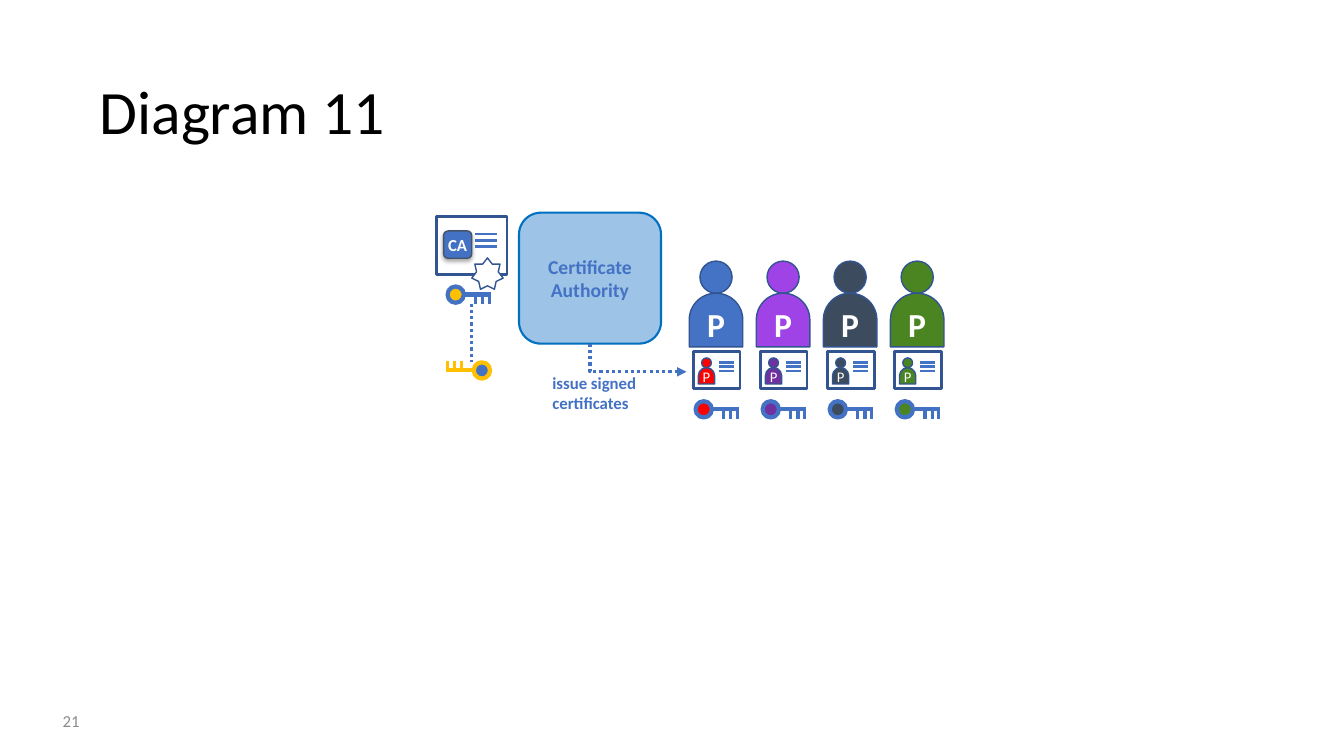
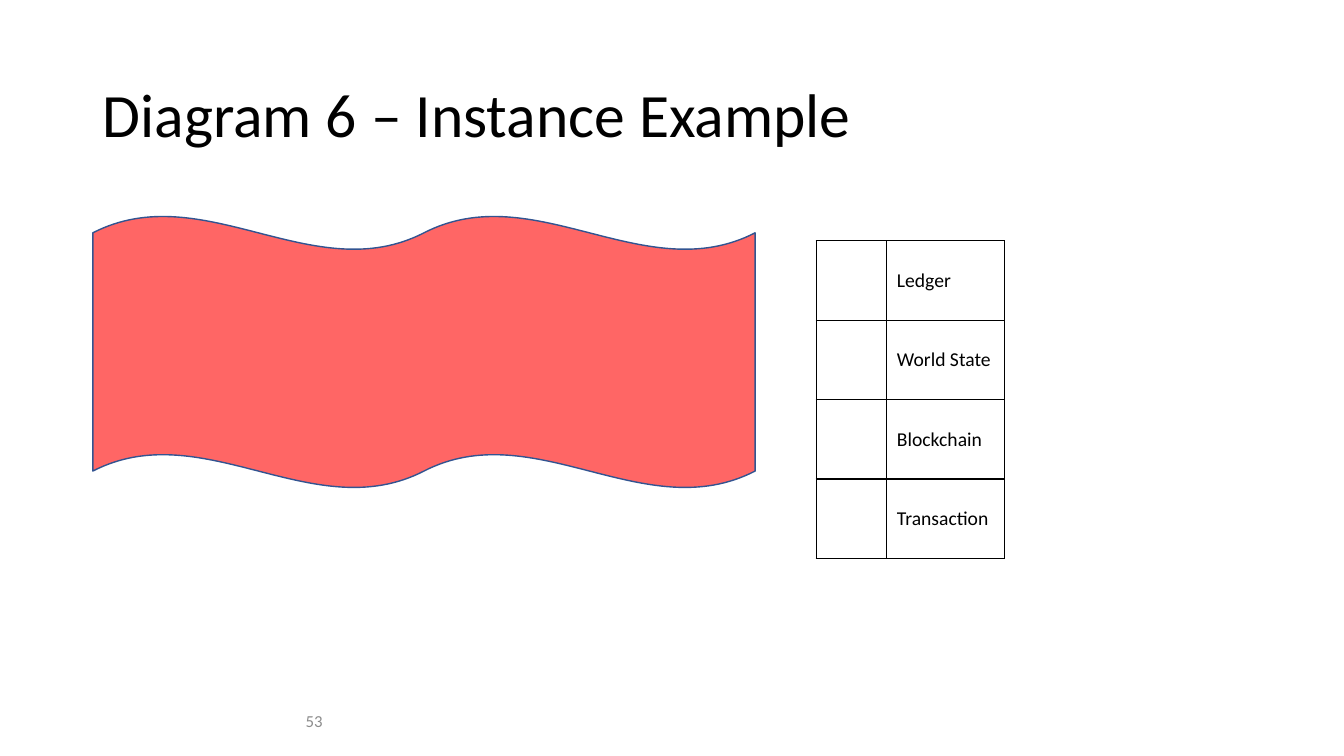
from lxml import etree
from pptx import Presentation
from pptx.dml.color import RGBColor
from pptx.enum.dml import MSO_LINE
from pptx.enum.shapes import MSO_CONNECTOR, MSO_SHAPE
from pptx.enum.text import MSO_ANCHOR, PP_ALIGN
from pptx.oxml.ns import qn
from pptx.util import Cm, Pt

STRAIGHT, ELBOW = MSO_CONNECTOR.STRAIGHT, MSO_CONNECTOR.ELBOW
RECTANGLE, ROUNDED = MSO_SHAPE.RECTANGLE, MSO_SHAPE.ROUNDED_RECTANGLE
OVAL, STAR, WAVE = MSO_SHAPE.OVAL, MSO_SHAPE.STAR_7_POINT, MSO_SHAPE.DOUBLE_WAVE
TORSO = MSO_SHAPE.ROUND_2_SAME_RECTANGLE
LEFT, CENTER, RIGHT = PP_ALIGN.LEFT, PP_ALIGN.CENTER, PP_ALIGN.RIGHT
TOP, MIDDLE = MSO_ANCHOR.TOP, MSO_ANCHOR.MIDDLE
DOTTED = MSO_LINE.ROUND_DOT
BOTTOM_SITE = 2

COLORS = {
    "black": "000000", "white": "FFFFFF", "gray": "8C8C8C", "outline": "325491",
    "blue": "4472C4", "key": "4372C4", "gold": "FFC001", "badge_line": "44546A",
    "authority": "9DC3E6", "authority_line": "0070C0", "red": "FF0000",
    "violet": "9F42E6", "purple": "7030A0", "slate": "3D4B5F", "green": "4A8522",
    "wave": "FF6665",
}

TITLE = {"size": Pt(44)}
NUMBER = {"size": Pt(12)}
AUTHORITY = {"size": Pt(14), "bold": True}
LABEL = {"size": Pt(12), "bold": True}
PERSON = {"size": Pt(24), "bold": True}
SMALL_PERSON = {"size": Pt(10.5)}
CELL = {"size": Pt(14)}

PARTICIPANTS = [("blue", "red"), ("violet", "purple"),
                ("slate", "slate"), ("green", "green")]
PARTICIPANT_PITCH = 1.69
LEGEND = ["Ledger", "World State", "Blockchain", "Transaction"]


def color(name):
    """Return the named colour."""
    return RGBColor.from_string(COLORS[name])


def lengths(*values):
    """Convert centimetre values to lengths."""
    return [Cm(value) for value in values]


def write_text(frame, text, format_values, color_name, align=LEFT):
    """Write one formatted paragraph and return it."""
    paragraph = frame.paragraphs[0]
    paragraph.text = text
    paragraph.alignment = align
    for name, value in {"name": "Calibri", **format_values}.items():
        setattr(paragraph.font, name, value)
    paragraph.font.color.rgb = color(color_name)
    return paragraph


def add_text(slide, box, text, format_values, color_name, align=LEFT, anchor=MIDDLE):
    """Add a wrapping text box and return its paragraph."""
    frame = slide.shapes.add_textbox(*lengths(*box)).text_frame
    frame.word_wrap = True
    frame.vertical_anchor = anchor
    return write_text(frame, text, format_values, color_name, align)


def add_figure(shapes, kind, box, fill, line="outline", width=1):
    """Add a preset shape without theme effects."""
    shape = shapes.add_shape(kind, *lengths(*box))
    shape.shadow.inherit = False
    if fill:
        shape.fill.solid()
        shape.fill.fore_color.rgb = color(fill)
    else:
        shape.fill.background()
    shape.line.color.rgb = color(line)
    shape.line.width = Pt(width)
    return shape


def write_mark(shape, text, format_values):
    """Centre a short white mark in a small shape."""
    frame = shape.text_frame
    frame.word_wrap = False
    frame.vertical_anchor = MIDDLE
    for side in ("left", "top", "right", "bottom"):
        setattr(frame, f"margin_{side}", 0)
    write_text(frame, text, format_values, "white", CENTER)


def add_line(shapes, start, end, line, width, kind=STRAIGHT, dash=None):
    """Add a connector without a shadow."""
    connector = shapes.add_connector(kind, *lengths(*start, *end))
    connector.line.color.rgb = color(line)
    connector.line.width = Pt(width)
    if dash:
        connector.line.dash_style = dash
    etree.SubElement(connector._element.spPr, qn("a:effectLst"))
    return connector


def draw_key(slide, center, bow, line, direction=1):
    """Draw a key around its bow; direction -1 turns it half round."""
    shapes = slide.shapes.add_group_shape().shapes
    x, y = center
    add_figure(shapes, OVAL, (x - 0.2, y - 0.2, 0.41, 0.41), bow, line, 3)
    add_line(shapes, (x + direction * 0.2, y), (x + direction * 0.9, y), line, 3)
    for offset in (0.51, 0.69, 0.86):
        tooth = x + direction * offset
        add_line(shapes, (tooth, y - direction * 0.03),
                 (tooth, y + direction * 0.24), line, 2.25)


def draw_person(shapes, left, top, size, fill, format_values):
    """Draw a head and a torso of the given size marked P."""
    head = size * 0.6
    add_figure(shapes, OVAL, (left + size * 0.2, top, head, head), fill)
    torso = add_figure(shapes, TORSO, (left, top + head, size, size), fill)
    torso.adjustments[0] = 0.497
    write_mark(torso, "P", format_values)


def draw_card(slide, box, fill):
    """Draw a certificate with its text lines and return its group shapes."""
    shapes = slide.shapes.add_group_shape().shapes
    left, top, width, height = box
    add_figure(shapes, RECTANGLE, box, fill, width=2)
    for row in range(3):
        y = top + height * (0.3 + 0.11 * row)
        add_line(shapes, (left + width * 0.55, y), (left + width * 0.86, y), "blue", 2)
    return shapes


def add_shadow(shape):
    """Give a shape a soft shadow below."""
    effects = shape._element.spPr.find(qn("a:effectLst"))
    shadow = etree.SubElement(effects, qn("a:outerShdw"), blurRad=str(Pt(3.1)),
                              dist=str(Pt(1.8)), dir="5400000", rotWithShape="0")
    tint = etree.SubElement(shadow, qn("a:srgbClr"), val=COLORS["black"])
    etree.SubElement(tint, qn("a:alpha"), val="35000")


def draw_authority_card(slide, box):
    """Draw the authority's certificate with badge, seal and key pair."""
    left, top = box[:2]
    shapes = draw_card(slide, box, None)
    badge = add_figure(shapes, ROUNDED, (left + 0.18, top + 0.36, 0.71, 0.69),
                       "key", "badge_line")
    add_shadow(badge)
    write_mark(badge, "CA", LABEL)
    add_figure(shapes, STAR, (left + 0.89, top + 1.04, 0.79, 0.79), "white")
    draw_key(slide, (left + 0.48, top + 1.96), "gold", "key")
    draw_key(slide, (left + 1.14, top + 3.87), "key", "gold", -1)
    add_line(slide.shapes, (left + 0.89, top + 2.19), (left + 0.89, top + 3.66),
             "key", 2.25, dash=DOTTED)


def draw_participant(slide, left, top, person_color, card_color):
    """Draw a person above a certificate and a key."""
    person = slide.shapes.add_group_shape().shapes
    draw_person(person, left, top, 1.35, person_color, PERSON)
    card = draw_card(slide, (left + 0.11, top + 2.28, 1.17, 0.94), "white")
    draw_person(card, left + 0.23, top + 2.44, 0.41, card_color, SMALL_PERSON)
    draw_key(slide, (left + 0.36, top + 3.73), card_color, "key")


def draw_issue_arrow(slide, authority, start, end):
    """Draw the dotted arrow that runs down and then right."""
    arrow = add_line(slide.shapes, start, end, "key", 2.25, ELBOW, DOTTED)
    arrow.begin_connect(authority, BOTTOM_SITE)
    across, down = end[0] - start[0], end[1] - start[1]
    arrow.left = Cm(start[0] + (across - down) / 2)
    arrow.top = Cm(start[1] + (down - across) / 2)
    arrow.width, arrow.height = Cm(down), Cm(across)
    properties = arrow._element.spPr
    frame = properties.find(qn("a:xfrm"))
    frame.set("rot", "16200000")
    frame.set("flipH", "1")
    properties.find(qn("a:prstGeom")).set("prst", "bentConnector2")
    etree.SubElement(properties.find(qn("a:ln")), qn("a:tailEnd"), type="triangle")


def draw_authority(slide, box):
    """Draw the authority box, its label and the issuing arrow."""
    left, top, width, height = box
    authority = add_figure(slide.shapes, ROUNDED, box, "authority", "authority_line", 1.5)
    authority.text_frame.word_wrap = True
    authority.text_frame.vertical_anchor = MIDDLE
    write_text(authority.text_frame, "Certificate Authority", AUTHORITY, "blue", CENTER)
    bottom = top + height
    add_text(slide, (left + 0.59, bottom + 0.61, 3.07, 1.27),
             "issue signed certificates", LABEL, "key", anchor=TOP)
    draw_issue_arrow(slide, authority, (left + width / 2, bottom),
                     (left + 4.22, bottom + 0.71))


def draw_border(cell):
    """Outline a cell with thin black lines."""
    properties = cell._tc.get_or_add_tcPr()
    for position, side in enumerate(("lnL", "lnR", "lnT", "lnB")):
        line = etree.Element(qn(f"a:{side}"), w=str(Pt(1)))
        fill = etree.SubElement(line, qn("a:solidFill"))
        etree.SubElement(fill, qn("a:srgbClr"), val=COLORS["black"])
        properties.insert(position, line)


def draw_legend(slide, left, top):
    """Draw the legend table with an empty symbol column."""
    widths, row_height = (1.78, 2.97), 2
    box = lengths(left, top, sum(widths), row_height * len(LEGEND))
    table = slide.shapes.add_table(len(LEGEND), len(widths), *box).table
    table.first_row = table.horz_banding = False
    for column, width in zip(table.columns, widths):
        column.width = Cm(width)
    for row, name in zip(table.rows, LEGEND):
        row.height = Cm(row_height)
        for cell in row.cells:
            cell.fill.background()
            cell.vertical_anchor = MIDDLE
            draw_border(cell)
        write_text(row.cells[1].text_frame, name, CELL, "black")


def add_slide(presentation, title, title_corner, number, number_width):
    """Add a blank slide with its title and number."""
    slide = presentation.slides.add_slide(presentation.slide_layouts[6])
    paragraph = add_text(slide, (*title_corner, 29.21, 3.68), title, TITLE, "black")
    paragraph.line_spacing = 0.9
    add_text(slide, (0.76, 17.65, number_width, 1.02), number, NUMBER, "gray", RIGHT)
    return slide


def build_certificates(presentation):
    """Build the slide about issuing certificates."""
    slide = add_slide(presentation, "Diagram 11", (2.26, 1.04), "21", 1.5)
    draw_authority(slide, (13.08, 5.36, 3.58, 3.3))
    draw_authority_card(slide, (11, 5.46, 1.78, 1.45))
    for index, colors in enumerate(PARTICIPANTS):
        draw_participant(slide, 17.37 + index * PARTICIPANT_PITCH, 6.58, *colors)


def build_instance(presentation):
    """Build the slide with the instance example."""
    slide = add_slide(presentation, "Diagram 6 – Instance Example", (2.34, 1.12), "53", 7.62)
    draw_legend(slide, 20.57, 6.07)
    add_figure(slide.shapes, WAVE, (2.34, 5.44, 16.69, 6.86), "wave")


def main():
    """Build and save the presentation."""
    presentation = Presentation()
    presentation.slide_width, presentation.slide_height = lengths(33.87, 19.05)
    build_certificates(presentation)
    build_instance(presentation)
    presentation.save("out.pptx")


if __name__ == "__main__":
    main()
